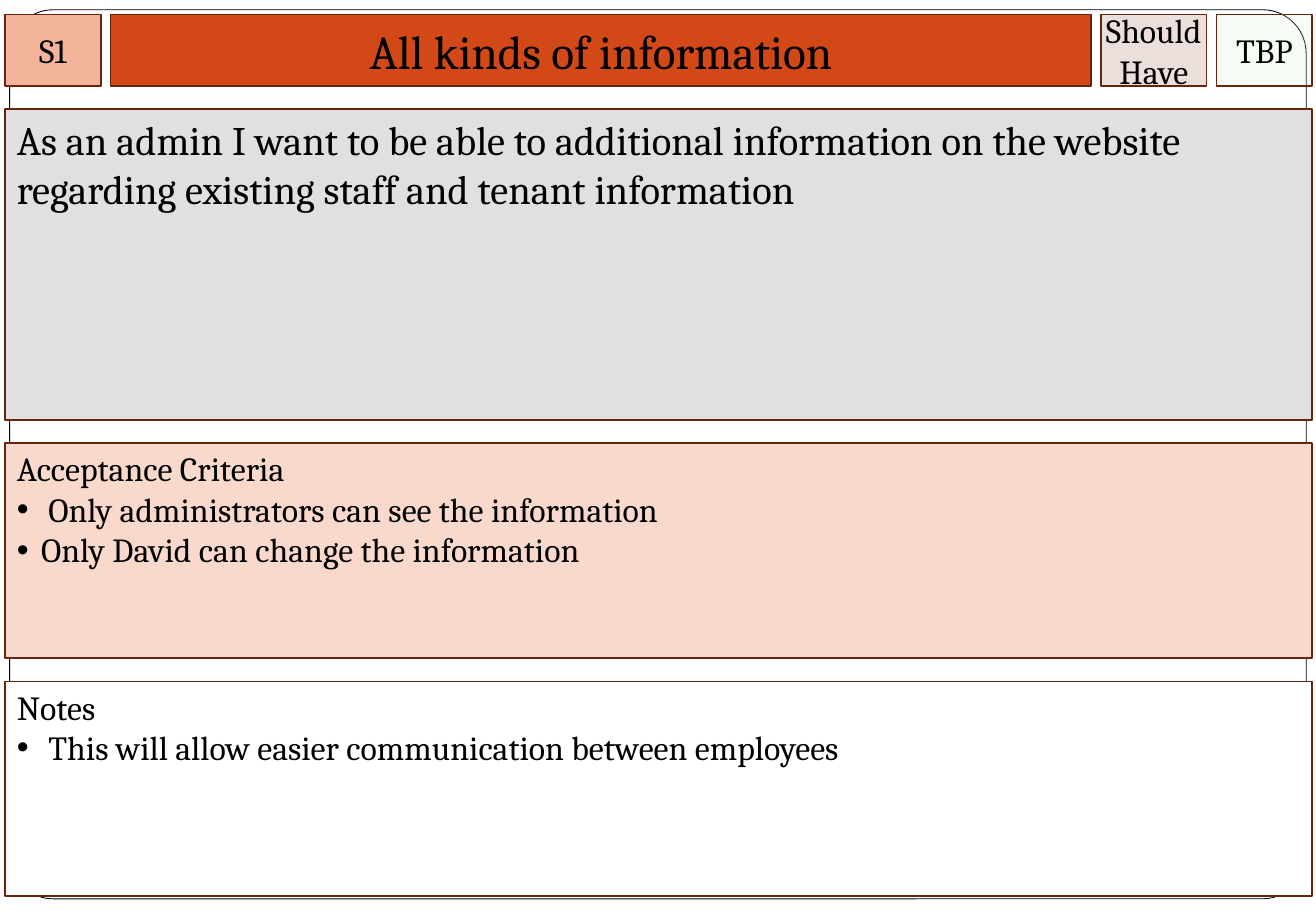
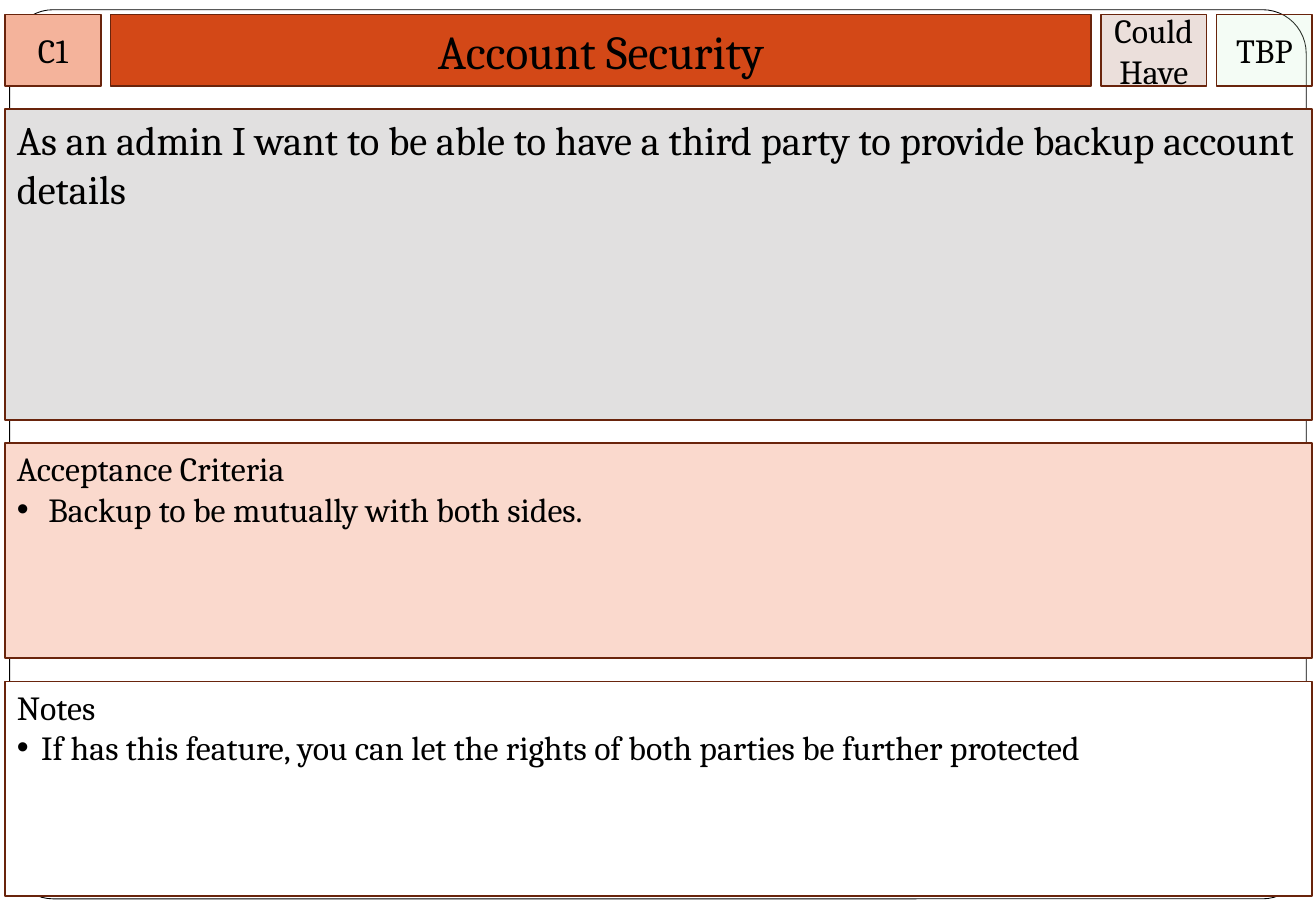
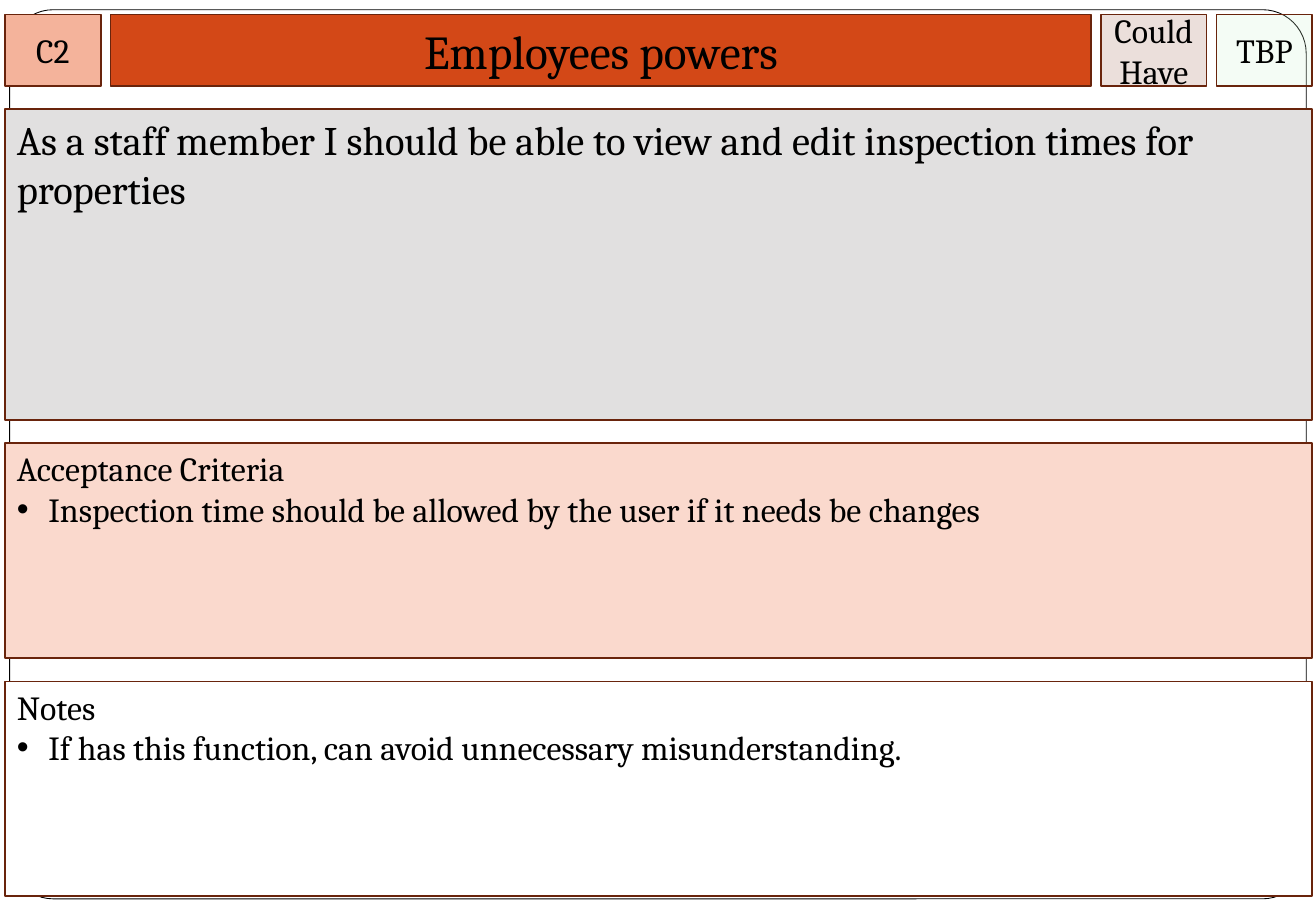
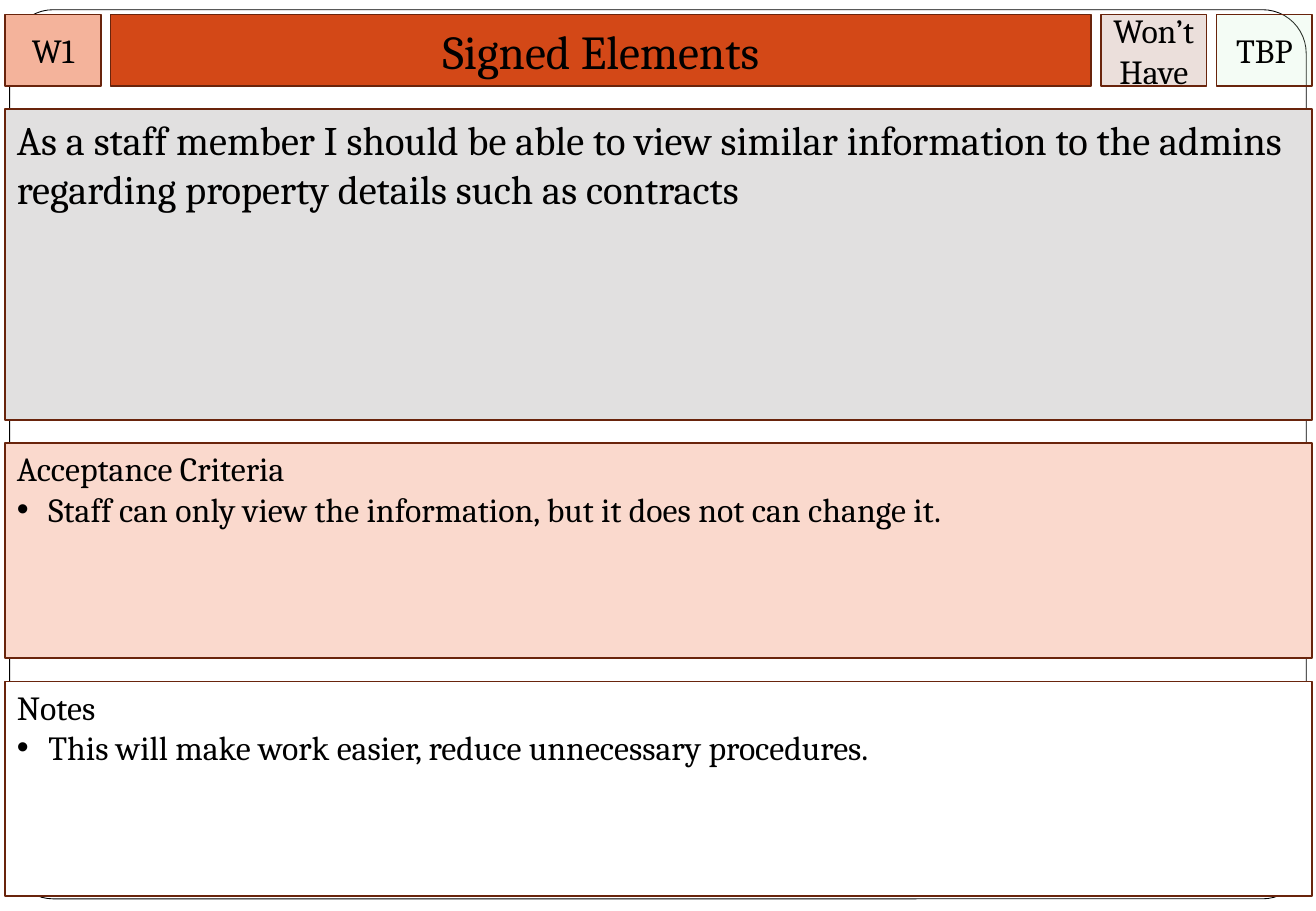
from dataclasses import dataclass

from pptx import Presentation
from pptx.dml.color import RGBColor
from pptx.enum.shapes import MSO_SHAPE
from pptx.enum.text import MSO_ANCHOR, MSO_AUTO_SIZE, PP_ALIGN
from pptx.oxml.ns import qn
from pptx.util import Inches, Pt
from lxml.etree import SubElement


@dataclass(frozen=True)
class Theme:
    font: str = "Cambria"
    ink: str = "000000"
    paper: str = "FFFFFF"
    outline: str = "69240C"
    code: str = "F4B39B"
    title: str = "D34817"
    story: str = "E1E0E0"
    criteria: str = "FAD9CD"
    priority: str = "EBDFDB"
    status: str = "CCF0CD"
    status_opacity: int = 20
    title_size: int = 28
    story_size: int = 24
    body_size: int = 20
    box_line: float = 1
    frame_line: float = 0.5
    hang: float = 0.2
    wide_hang: float = 0.26


@dataclass(frozen=True)
class Grid:
    left: float = 0.04
    top: float = 0.12
    gutter: float = 0.08
    row_gap: float = 0.19
    columns: tuple = (0.79, 8.07, 0.87, 0.79)
    rows: tuple = (0.59, 2.56, 1.77, 1.77)

    def cell(self, column, row, span=1):
        left = self.left + sum(self.columns[:column]) + column * self.gutter
        top = self.top + sum(self.rows[:row]) + row * self.row_gap
        width = sum(self.columns[column:column + span]) + (span - 1) * self.gutter
        return [Inches(length) for length in (left, top, width, self.rows[row])]


@dataclass(frozen=True)
class Story:
    code: str
    title: str
    priority: str
    text: str
    criteria: tuple
    notes: tuple


THEME = Theme()
GRID = Grid()
WIDTH, HEIGHT = 10.83, 7.5
TITLE_ONLY = 5
TIGHT = (0, 0.05, 0, 0.05)
PANEL = (0.1, 0.04, 0.1, 0.05)
NORMAL = (0.1, 0.05, 0.1, 0.05)


class CardDeck:
    def __init__(self, theme, grid):
        self.theme = theme
        self.grid = grid
        self.deck = Presentation()
        self.deck.slide_width = Inches(WIDTH)
        self.deck.slide_height = Inches(HEIGHT)
        self.layout = self.deck.slide_layouts[TITLE_ONLY]
        self.page = None

    def add_page(self):
        self.page = self.deck.slides.add_slide(self.layout)

    def add_frame(self):
        inset = 0.08
        frame = self.page.shapes.add_shape(
            MSO_SHAPE.ROUNDED_RECTANGLE, Inches(inset), Inches(inset),
            Inches(WIDTH - 2 * inset), Inches(7.32))
        frame.adjustments[0] = 0.049
        frame.shadow.inherit = False
        self.paint(frame, self.theme.paper, self.theme.ink, self.theme.frame_line)
        self.layout.shapes.element.insert(2, frame.element)

    def paint(self, box, fill, line, weight):
        box.fill.solid()
        box.fill.fore_color.rgb = RGBColor.from_string(fill)
        box.line.color.rgb = RGBColor.from_string(line)
        box.line.width = Pt(weight)

    def set_frame(self, box, insets, anchor, wrap=True):
        frame = box.text_frame
        frame.auto_size = MSO_AUTO_SIZE.NONE
        frame.word_wrap = wrap
        frame.vertical_anchor = anchor
        (frame.margin_left, frame.margin_top,
         frame.margin_right, frame.margin_bottom) = map(Inches, insets)

    def add_text(self, para, text, size, align):
        para.alignment = align
        span = para.add_run()
        span.text = text
        span.font.name = self.theme.font
        span.font.size = Pt(size)
        span.font.color.rgb = RGBColor.from_string(self.theme.ink)

    def add_box(self, place, fill):
        box = self.page.shapes.add_shape(MSO_SHAPE.RECTANGLE, *place)
        box.shadow.inherit = False
        self.paint(box, fill, self.theme.outline, self.theme.box_line)
        return box

    def add_title(self, text):
        box = self.page.shapes.title
        box.left, box.top, box.width, box.height = self.grid.cell(1, 0)
        self.paint(box, self.theme.title, self.theme.outline, self.theme.box_line)
        self.set_frame(box, NORMAL, MSO_ANCHOR.MIDDLE)
        self.add_text(box.text_frame.paragraphs[0], text,
                      self.theme.title_size, PP_ALIGN.CENTER)

    def add_tag(self, column, lines, fill, wrap=True):
        box = self.add_box(self.grid.cell(column, 0), fill)
        self.set_frame(box, TIGHT, MSO_ANCHOR.MIDDLE, wrap)
        frame = box.text_frame
        for index, line in enumerate(lines):
            para = frame.add_paragraph() if index else frame.paragraphs[0]
            self.add_text(para, line, self.theme.body_size, PP_ALIGN.CENTER)
        return box

    def add_panel(self, row, heading, fill, size, insets, bullets=()):
        box = self.add_box(self.grid.cell(0, row, len(self.grid.columns)), fill)
        self.set_frame(box, insets, MSO_ANCHOR.TOP)
        self.add_text(box.text_frame.paragraphs[0], heading, size, PP_ALIGN.LEFT)
        for text, hang in bullets:
            para = box.text_frame.add_paragraph()
            self.add_text(para, text, size, PP_ALIGN.LEFT)
            self.add_bullet(para, hang)

    def add_bullet(self, para, hang):
        properties = para._p.get_or_add_pPr()
        properties.set("marL", str(Inches(hang)))
        properties.set("indent", str(-Inches(hang)))
        SubElement(properties, qn("a:buFont")).set("typeface", "Arial")
        SubElement(properties, qn("a:buChar")).set("char", "•")

    def set_opacity(self, box, percent):
        color = box.element.xpath("./p:spPr/a:solidFill/a:srgbClr")[0]
        SubElement(color, qn("a:alpha")).set("val", str(percent * 1000))

    def add_story(self, story):
        theme = self.theme
        self.add_page()
        self.add_tag(0, [story.code], theme.code)
        self.add_title(story.title)
        self.add_panel(1, story.text, theme.story, theme.story_size, NORMAL)
        self.add_panel(2, "Acceptance Criteria", theme.criteria,
                       theme.body_size, PANEL, story.criteria)
        self.add_panel(3, "Notes", theme.paper, theme.body_size, PANEL, story.notes)
        self.add_tag(2, [story.priority, "Have"], theme.priority, wrap=False)
        status = self.add_tag(3, ["TBP"], theme.status)
        self.set_opacity(status, theme.status_opacity)


STORIES = (
    Story(
        "S1", "All kinds of information", "Should",
        "As an admin I want to be able to additional information on the website "
        "regarding existing staff and tenant information",
        (("Only administrators can see the information", THEME.wide_hang),
         ("Only David can change the information", THEME.hang)),
        (("This will allow easier communication between employees", THEME.wide_hang),)),
    Story(
        "C1", "Account Security", "Could",
        "As an admin I want to be able to have a third party to provide "
        "backup account details",
        (("Backup to be mutually with both sides.", THEME.wide_hang),),
        (("If has this feature, you can let the rights of both parties "
          "be further protected", THEME.hang),)),
    Story(
        "C2", "Employees powers", "Could",
        "As a staff member I should be able to view and edit inspection times "
        "for properties",
        (("Inspection time should be allowed by the user if it needs be changes",
          THEME.wide_hang),),
        (("If has this function, can avoid unnecessary misunderstanding.",
          THEME.wide_hang),)),
    Story(
        "W1", "Signed Elements", "Won’t",
        "As a staff member I should be able to view similar information to the "
        "admins regarding property details such as contracts",
        (("Staff can only view the information, but it does not can change it.",
          THEME.wide_hang),),
        (("This will make work easier, reduce unnecessary procedures.",
          THEME.wide_hang),)),
)

cards = CardDeck(THEME, GRID)
for story in STORIES:
    cards.add_story(story)
cards.add_frame()
cards.deck.save("out.pptx")
